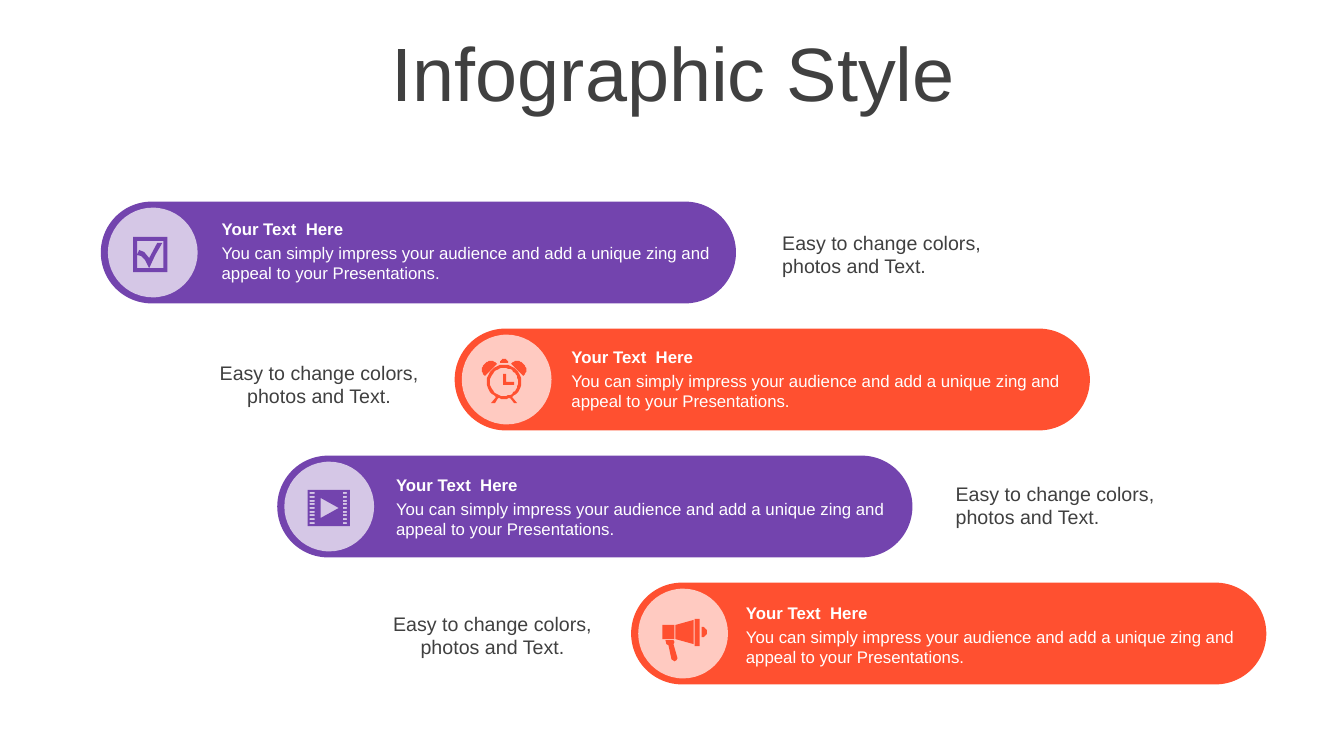
from math import cos, radians, sin

from lxml.etree import SubElement
from pptx import Presentation
from pptx.dml.color import RGBColor
from pptx.enum.shapes import MSO_SHAPE as Shape
from pptx.enum.text import MSO_ANCHOR as Anchor, MSO_AUTO_SIZE as AutoSize, PP_ALIGN as Align
from pptx.oxml.ns import qn
from pptx.util import Pt

PX = 9144  # 100 px to the inch
PURPLE = RGBColor(0x73, 0x44, 0xAE)
ORANGE = RGBColor(0xFF, 0x50, 0x30)
WHITE = RGBColor(0xFF, 0xFF, 0xFF)
GREY = RGBColor(0x40, 0x40, 0x40)


def arc(x, y, radius, start, end):
    """Return points along a circle, angles in degrees clockwise from the right."""
    steps = max(8, abs(end - start) // 8)
    angles = [radians(start + (end - start) * i / steps) for i in range(steps + 1)]
    return [(x + radius * cos(a), y + radius * sin(a)) for a in angles]


def rect(left, top, right, bottom):
    return [(left, top), (right, top), (right, bottom), (left, bottom)]


check_icon = [
    rect(132, 235, 166, 270),
    rect(136, 239, 162, 266),
    [(136, 253), (138, 248), (143, 250), (148, 256), (156, 241),
     (161, 241), (154, 253), (148, 266), (144, 258), (140, 254)],
]
clock_icon = [
    arc(500, 379, 17, 60, -240) + [(487, 400), (491, 400)]
    + arc(500, 379, 17, 110, 70) + [(510, 400), (513, 400)],
    arc(500, 379, 14, 0, 360),
    [(499, 371), (502, 371), (502, 379), (510, 379), (510, 382), (499, 382)],
    arc(487, 367, 9, 135, 315),
    arc(513, 367, 9, 225, 405),
    arc(500, 360, 4, 180, 360),
]
film_icon = [rect(305, 486, 347, 522), [(318, 494), (318, 514), (336, 504)]]
for hole in range(9):
    hole_top = 488 + hole * 3.75
    film_icon += [rect(307, hole_top, 312, hole_top + 2), rect(340, hole_top, 344, hole_top + 2)]
megaphone_icon = [
    rect(657, 620, 669, 634),
    [(670, 620), (688, 615), (688, 639), (670, 634)],
    rect(689, 614, 694, 641),
    arc(696, 627, 5, -90, 90),
    [(660, 635), (668, 635), (669, 637), (668, 639), (672, 653), (671, 655),
     (669, 656), (666, 654), (663, 640), (661, 639)],
]

# bar left, heading left, note left, note top, colour, icon
bars = [
    (100, 210, 766, 224, PURPLE, check_icon),
    (451, 557, 168, 353, ORANGE, clock_icon),
    (275, 383, 938, 473, PURPLE, film_icon),
    (626, 730, 340, 602, ORANGE, megaphone_icon),
]

deck = Presentation()
deck.slide_width, deck.slide_height = 1333 * PX, 750 * PX
page = deck.slides.add_slide(deck.slide_layouts[5])

title = page.shapes.title
for name, value in {"left": 35, "top": 37, "width": 1266, "height": 79}.items():
    setattr(title, name, value * PX)
title.text_frame.text = "Infographic Style"
title.text_frame.vertical_anchor = Anchor.MIDDLE
title.text_frame.auto_size = AutoSize.NONE
title_para = title.text_frame.paragraphs[0]
for name, value in {"alignment": Align.CENTER, "line_spacing": 0.9, "space_before": Pt(0)}.items():
    setattr(title_para, name, value)
title_font = title_para.runs[0].font
for name, value in {"name": "Arial", "size": Pt(54)}.items():
    setattr(title_font, name, value)
title_font.color.rgb = GREY

texts = []
for row, (bar_left, text_left, note_left, note_top, colour, icon) in enumerate(bars):
    bar_top = 200 + row * 126
    bar = page.shapes.add_shape(
        Shape.ROUNDED_RECTANGLE, bar_left * PX, bar_top * PX, 630 * PX, 101 * PX)
    bar.adjustments[0] = 0.5
    disc = page.shapes.add_shape(
        Shape.OVAL, (bar_left + 7) * PX, (bar_top + 6) * PX, 89 * PX, 89 * PX)

    (first_x, first_y), *outline = icon[0]
    builder = page.shapes.build_freeform(first_x, first_y, scale=float(PX))
    builder.add_line_segments(outline)
    for (start_x, start_y), *outline in icon[1:]:
        builder.move_to(start_x, start_y)
        builder.add_line_segments(outline)
    symbol = builder.convert_to_shape()

    for shape, fill in ((bar, colour), (disc, WHITE), (symbol, colour)):
        shape.shadow.inherit = False
        shape.fill.solid()
        shape.fill.fore_color.rgb = fill
        shape.line.fill.background()
    disc_colour = disc.fill._xPr.find(qn("a:solidFill"))[0]
    SubElement(disc_colour, qn("a:alpha"), val="70000")

    heading_top = 212 + row * 127
    note_align = Align.CENTER if row % 2 else Align.LEFT
    texts += [
        (text_left, heading_top + 24, 520, 50,
         "You can simply impress your audience and add a unique zing and appeal to your Presentations.",
         WHITE, Align.LEFT, {"size": Pt(12)}),
        (text_left, heading_top, 520, 30, "Your Text  Here",
         WHITE, Align.LEFT, {"size": Pt(12), "bold": True}),
        (note_left, note_top, 258, 57, "Easy to change colors, photos and Text.",
         GREY, note_align, {"size": Pt(14)}),
    ]

for left, top, width, height, words, colour, alignment, looks in texts:
    box = page.shapes.add_textbox(left * PX, top * PX, width * PX, height * PX)
    frame = box.text_frame
    frame.word_wrap = True
    frame.auto_size = AutoSize.SHAPE_TO_FIT_TEXT
    if alignment == Align.CENTER:
        frame.margin_left, frame.margin_right = 45 * PX, 6 * PX
    para = frame.paragraphs[0]
    para.alignment = alignment
    span = para.add_run()
    span.text = words
    span.font.color.rgb = colour
    for name, value in {"name": "Arial", **looks}.items():
        setattr(span.font, name, value)

deck.save("out.pptx")
